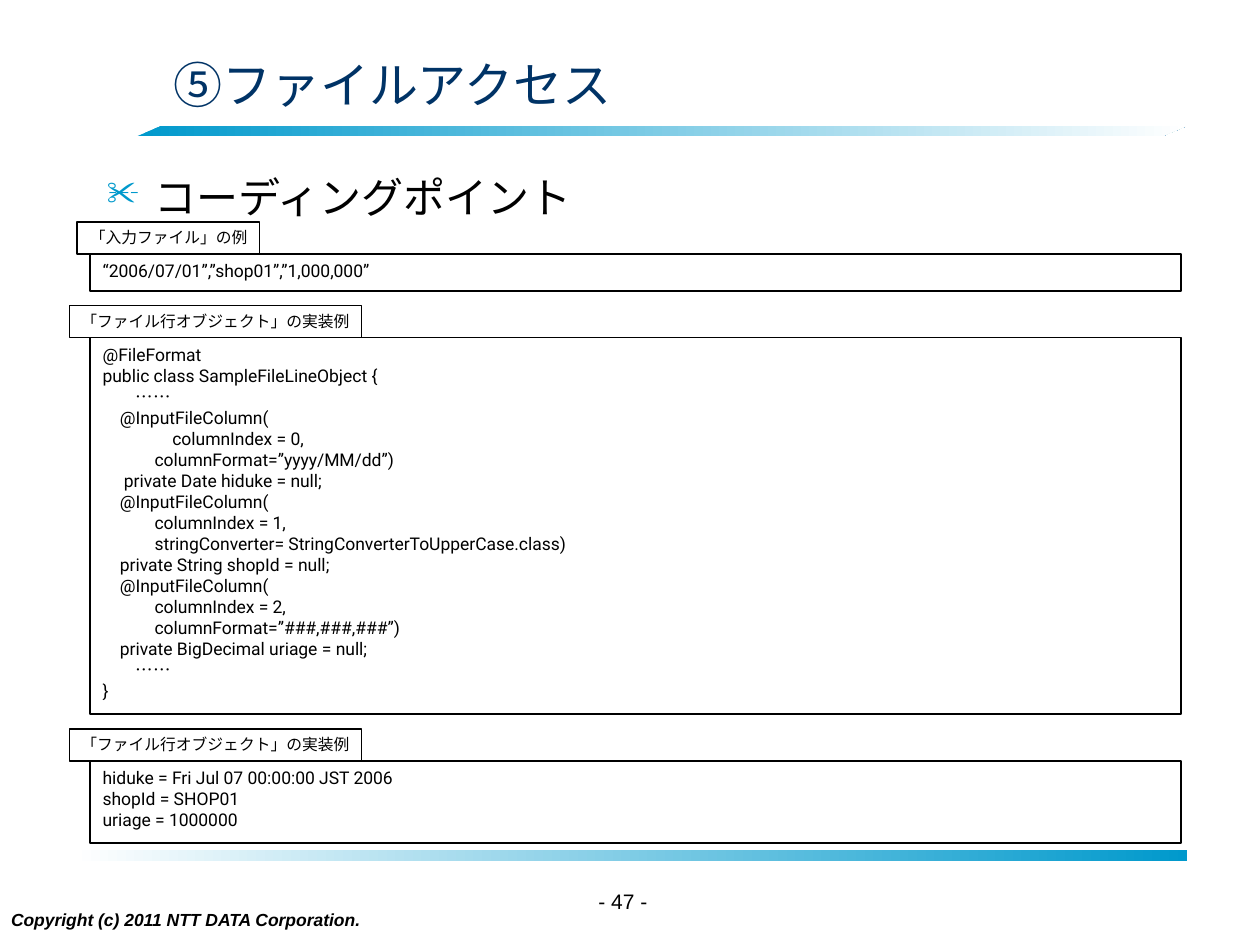
import pptx
import pptx.util
import pptx.dml.color
import pptx.enum.shapes
import pptx.enum.text
import pptx.oxml.ns
from lxml import etree

Pt = pptx.util.Pt
ALIGN = pptx.enum.text.PP_ALIGN
SHAPE = pptx.enum.shapes.MSO_SHAPE

THEME = {
    "navy": "003366", "cyan": "0099CC", "black": "000000", "white": "FFFFFF",
    "ea": "Noto Sans CJK JP",
    "title": {"size": 28, "font": "Noto Sans CJK JP", "color": "navy"},
    "heading": {"size": 24, "font": "Arial", "color": "black"},
    "code": {"size": 10, "font": "Roboto", "color": "black"},
    "label": {"size": 9, "font": "Times New Roman", "color": "black"},
    "page": {"size": 12, "font": "Arial", "color": "black"},
    "copyright": {"size": 10, "font": "Arial", "color": "black",
                  "bold": True, "italic": True},
}

TITLE = "⑤ファイルアクセス"
HEADING = "コーディングポイント"
COPYRIGHT = "Copyright (c) 2011 NTT DATA Corporation."
PAGE = "- 47 -"

INPUT_LINE = "“2006/07/01”,”shop01”,”1,000,000”"
LINE_OBJECT = """\
@FileFormat
public class SampleFileLineObject {
    　……
    @InputFileColumn(
　　　　columnIndex = 0,
            columnFormat=”yyyy/MM/dd”)
　 private Date hiduke = null;
    @InputFileColumn(
            columnIndex = 1,
            stringConverter= StringConverterToUpperCase.class)
    private String shopId = null;
    @InputFileColumn(
            columnIndex = 2,
            columnFormat=”###,###,###”)
    private BigDecimal uriage = null;
    　……
}"""
RESULT = """\
hiduke = Fri Jul 07 00:00:00 JST 2006
shopId = SHOP01
uriage = 1000000"""

# label, label left, label width, panel top, panel height, panel text
PANELS = [
    ("「入力ファイル」の例", 44, 104.4, 145.2, 21, INPUT_LINE),
    ("「ファイル行オブジェクト」の実装例", 39.6, 167, 192.8, 215.3, LINE_OBJECT),
    ("「ファイル行オブジェクト」の実装例", 39.6, 167, 434.9, 46.8, RESULT),
]
PANEL_LEFT, PANEL_WIDTH, LABEL_HEIGHT = 51.6, 623.5, 18.4

# left, top, width, slant, first colour, last colour
BARS = [
    (78, 72, 600, 2.35, "cyan", "white"),
    (42, 486, 636, 0, "white", "cyan"),
]


def rgb(name):
    return pptx.dml.color.RGBColor.from_string(THEME[name])


def add_text(sp, text, style, align=ALIGN.LEFT, anchor="TOP", wrap=True):
    tf = sp.text_frame
    tf.word_wrap = wrap
    tf.vertical_anchor = getattr(pptx.enum.text.MSO_ANCHOR, anchor)
    look = THEME[style]
    for i, line in enumerate(text.split("\n")):
        p = tf.add_paragraph() if i else tf.paragraphs[0]
        p.alignment = align
        r = p.add_run()
        r.text = line
        r.font.size = Pt(look["size"])
        r.font.name = look["font"]
        r.font.bold = look.get("bold", False)
        r.font.italic = look.get("italic", False)
        r.font.color.rgb = rgb(look["color"])
        latin = r.font._element.find(pptx.oxml.ns.qn("a:latin"))
        ea = etree.Element(pptx.oxml.ns.qn("a:ea"), typeface=THEME["ea"])
        latin.addnext(ea)
    return tf


def add_textbox(s, box, text, style, **options):
    sp = s.shapes.add_textbox(*map(Pt, box))
    return add_text(sp, text, style, **options)


def add_box(s, box, line_width, fill=None):
    sp = s.shapes.add_shape(SHAPE.RECTANGLE, *map(Pt, box))
    sp.shadow.inherit = False
    if fill:
        sp.fill.solid()
        sp.fill.fore_color.rgb = rgb(fill)
    else:
        sp.fill.background()
    sp.line.color.rgb = rgb("black")
    sp.line.width = Pt(line_width)
    return sp


def add_bar(s, left, top, width, slant, first, last):
    sp = s.shapes.add_shape(SHAPE.PARALLELOGRAM, Pt(left), Pt(top), Pt(width), Pt(6))
    sp.adjustments[0] = slant
    sp.shadow.inherit = False
    sp.line.fill.background()
    sp.fill.gradient()
    sp.fill.gradient_angle = 0
    for stop, color in zip(sp.fill.gradient_stops, (first, last)):
        stop.color.rgb = rgb(color)


def add_scissors_bullet(p):
    pPr = p._p.get_or_add_pPr()
    pPr.set("marL", str(Pt(27)))
    pPr.set("indent", str(Pt(-27)))
    qn = pptx.oxml.ns.qn
    color = etree.SubElement(pPr, qn("a:buClr"))
    etree.SubElement(color, qn("a:srgbClr"), val=THEME["cyan"])
    etree.SubElement(pPr, qn("a:buSzPct"), val="80000")
    etree.SubElement(pPr, qn("a:buChar"), char="✂")


def main():
    prs = pptx.Presentation()
    prs.slide_width, prs.slide_height = Pt(720), Pt(540)
    s = prs.slides.add_slide(prs.slide_layouts[6])

    for bar in BARS:
        add_bar(s, *bar)
    add_textbox(s, (92, 24, 520, 48), TITLE, "title", anchor="MIDDLE")
    tf = add_textbox(s, (54, 94.5, 624, 380), HEADING, "heading")
    add_scissors_bullet(tf.paragraphs[0])
    add_textbox(s, (-0.8, 516, 320, 24), COPYRIGHT, "copyright")
    add_textbox(s, (319, 504, 58, 24), PAGE, "page", align=ALIGN.RIGHT)

    for label, left, width, top, height, text in PANELS:
        panel = add_box(s, (PANEL_LEFT, top, PANEL_WIDTH, height), 1, "white")
        add_text(panel, text, "code")
        tag = add_box(s, (left, top - LABEL_HEIGHT, width, LABEL_HEIGHT), 0.75)
        add_text(tag, label, "label", align=ALIGN.RIGHT, wrap=False)

    prs.save("out.pptx")


if __name__ == "__main__":
    main()
